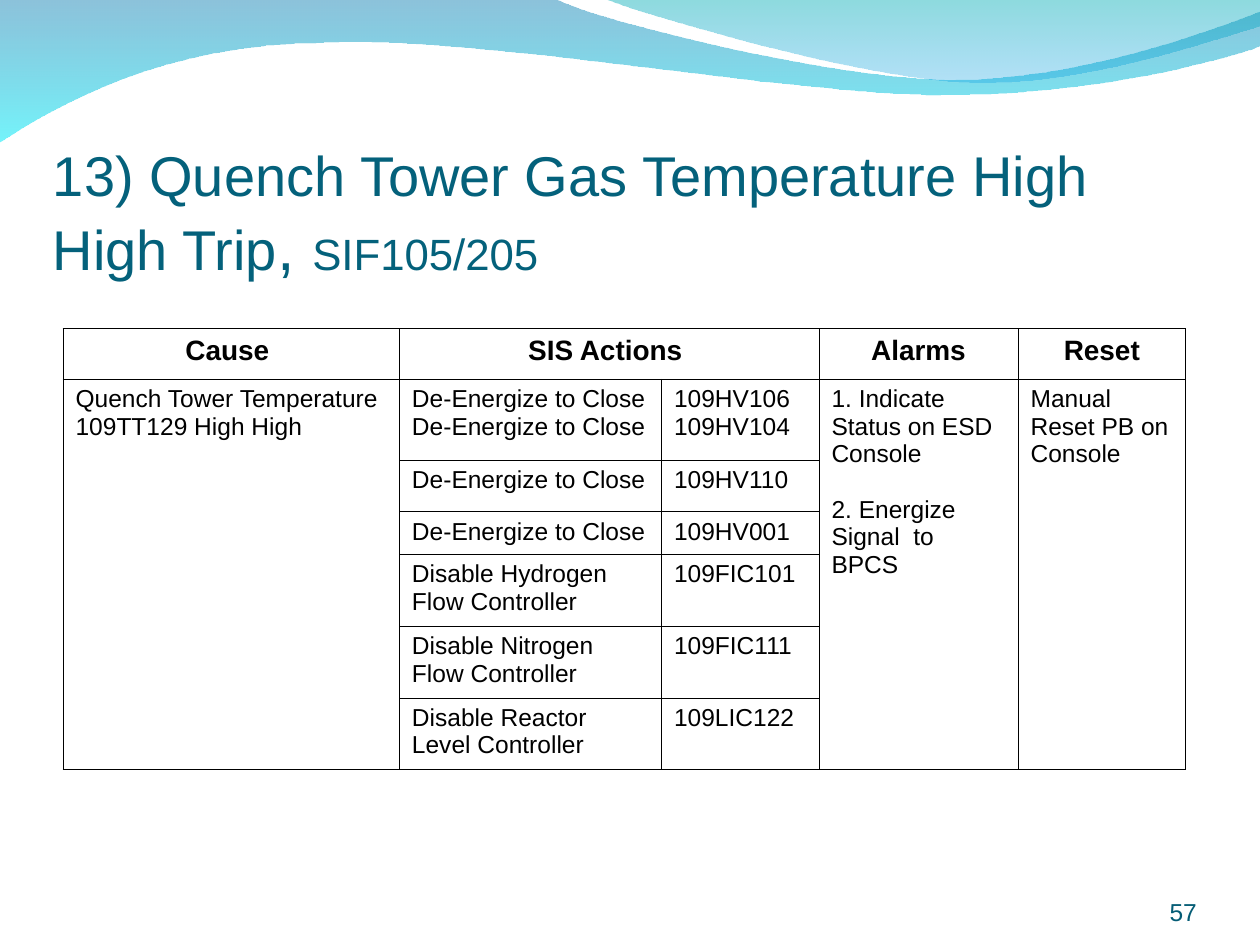
from lxml.etree import SubElement
from pptx import Presentation
from pptx.dml.color import RGBColor
from pptx.enum.text import MSO_ANCHOR, MSO_AUTO_SIZE, PP_ALIGN
from pptx.oxml import parse_xml
from pptx.oxml.ns import nsdecls, qn
from pptx.util import Inches, Pt

FONT = "Arial"
COLORS = {"title": "04617B", "number": "045C75", "text": "000000", "border": "000000",
          "wave_top": "0079AF", "wave_bottom": "00EBF8",
          "crest_top": "00ADB6", "crest_bottom": "009BE5"}
TITLE = [("13) Quench Tower Gas Temperature High High Trip", 32), (", ", 36), ("SIF105/205", 25)]
HEADERS = {0: "Cause ", 1: "SIS Actions ", 3: "Alarms", 4: "Reset"}
CAUSE = ["Quench Tower Temperature 109TT129 High High"]
ALARMS = ["1. Indicate Status on ESD Console", "2. Energize Signal  to BPCS"]
RESET = ["Manual Reset PB on Console"]
ACTIONS = [
    ("De-Energize to Close De-Energize to Close", ["109HV106", "109HV104"]),
    ("De-Energize to Close", ["109HV110"]),
    ("De-Energize to Close", ["109HV001"]),
    ("Disable Hydrogen Flow Controller", ["109FIC101"]),
    ("Disable Nitrogen Flow Controller", ["109FIC111"]),
    ("Disable Reactor Level Controller", ["109LIC122"]),
]
COL_WIDTHS = [2.67, 2.08, 1.25, 1.58, 1.33]
ROW_HEIGHTS = [0.4, 0.64, 0.41, 0.34, 0.57, 0.57, 0.57]
WAVES = [
    ([(0, -0.01), (4.4, -0.01), (4.76, 0.17, 6.64, 0.63, 7.58, 0.63),
      (8.53, 0.63, 9.58, 0.26, 10, 0.09), (10.01, 0.36),
      (9.83, 0.44, 8.7, 0.76, 7.46, 0.75), (6.22, 0.75, 3.82, 0.28, 2.57, 0.34),
      (1.29, 0.35, 0.46, 0.83, -0.01, 1.13)],
     [("wave_top", 45), ("wave_bottom", 55)]),
    ([(4.79, -0.01), (5.09, 0.11, 6.82, 0.62, 7.69, 0.65),
      (8.56, 0.69, 9.61, 0.32, 10, 0.21), (10, 0)],
     [("crest_top", 45), ("crest_bottom", 30)]),
]


def rgb(name):
    return RGBColor.from_string(COLORS[name])


def bend_segments(sp, segments):
    lines = iter(list(sp._element.iter(qn("a:lnTo"))))
    for seg in segments:
        group = [next(lines) for _ in range(len(seg) // 2)]
        if len(group) == 3:
            curve = parse_xml(f'<a:cubicBezTo {nsdecls("a")}/>')
            group[0].addprevious(curve)
            for line in group:
                curve.append(line[0])
                line.getparent().remove(line)


def add_wave(slide, segments, stops):
    points = [(Inches(seg[i]), Inches(seg[i + 1]))
              for seg in segments for i in range(0, len(seg), 2)]
    builder = slide.shapes.build_freeform(*points[0], scale=1.0)
    builder.add_line_segments(points[1:], close=True)
    sp = builder.convert_to_shape()
    bend_segments(sp, segments[1:])
    sp.shadow.inherit = False
    sp.line.fill.background()
    sp.fill.gradient()
    sp.fill.gradient_angle = 270
    for i, (stop, (color, _)) in enumerate(zip(sp.fill.gradient_stops, stops)):
        stop.color.rgb = rgb(color)
        stop.position = i
    for clr, (_, alpha) in zip(sp._element.spPr.iter(qn("a:srgbClr")), stops):
        SubElement(clr, qn("a:alpha"), val=str(alpha * 1000))


def add_text(p, text, size=14, color="text", bold=False, align=PP_ALIGN.LEFT):
    p.alignment = align
    r = p.add_run()
    r.text = text
    r.font.name, r.font.size, r.font.bold = FONT, Pt(size), bold
    r.font.color.rgb = rgb(color)


def set_frame(tf, top=0):
    tf.word_wrap = True
    tf.auto_size = MSO_AUTO_SIZE.NONE
    tf.vertical_anchor = MSO_ANCHOR.BOTTOM
    tf.margin_left = tf.margin_right = tf.margin_bottom = 0
    tf.margin_top = Inches(top)


def fill_cell(cell, lines, gap=0, **fmt):
    tf = cell.text_frame
    for i, line in enumerate(lines):
        p = tf.add_paragraph() if i else tf.paragraphs[0]
        if i and gap:
            p.space_before = Pt(gap)
        add_text(p, line, **fmt)


def style_cell(cell):
    cell.fill.background()
    tcPr = cell._tc.get_or_add_tcPr()
    for i, side in enumerate(("lnL", "lnR", "lnT", "lnB")):
        tcPr.insert(i, parse_xml(
            f'<a:{side} {nsdecls("a")} w="{Pt(0.45)}"><a:solidFill>'
            f'<a:srgbClr val="{COLORS["border"]}"/></a:solidFill></a:{side}>'))


def add_actions_table(slide):
    frame = slide.shapes.add_table(len(ROW_HEIGHTS), len(COL_WIDTHS), Inches(0.5), Inches(2.61),
                                   Inches(sum(COL_WIDTHS)), Inches(sum(ROW_HEIGHTS)))
    table = frame.table
    table.first_row = table.horz_banding = False
    for col, width in zip(table.columns, COL_WIDTHS):
        col.width = Inches(width)
    for row, height in zip(table.rows, ROW_HEIGHTS):
        row.height = Inches(height)
    for cell in table.iter_cells():
        style_cell(cell)
    table.cell(0, 1).merge(table.cell(0, 2))
    for col, header in HEADERS.items():
        fill_cell(table.cell(0, col), [header], size=16, bold=True, align=PP_ALIGN.CENTER)
    for col, lines in ((0, CAUSE), (3, ALARMS), (4, RESET)):
        table.cell(1, col).merge(table.cell(len(ACTIONS), col))
        fill_cell(table.cell(1, col), lines, gap=16)
    for row, (action, tags) in enumerate(ACTIONS, 1):
        fill_cell(table.cell(row, 1), [action])
        fill_cell(table.cell(row, 2), tags)


def main():
    """Build the trip summary slide and save it."""
    prs = Presentation()
    prs.slide_width, prs.slide_height = Inches(10), Inches(7.5)
    s = prs.slides.add_slide(prs.slide_layouts[5])
    for segments, stops in WAVES:
        add_wave(s, segments, stops)

    title = s.shapes.title
    title.left, title.top, title.width, title.height = map(Inches, (0.42, 1, 9, 1.25))
    set_frame(title.text_frame, top=0.05)
    for text, size in TITLE:
        add_text(title.text_frame.paragraphs[0], text, size=size, color="title")

    add_actions_table(s)

    number = s.shapes.add_textbox(*map(Inches, (8.67, 6.95, 0.83, 0.4)))
    set_frame(number.text_frame)
    add_text(number.text_frame.paragraphs[0], "57", color="number", align=PP_ALIGN.RIGHT)
    prs.save("out.pptx")


if __name__ == "__main__":
    main()
